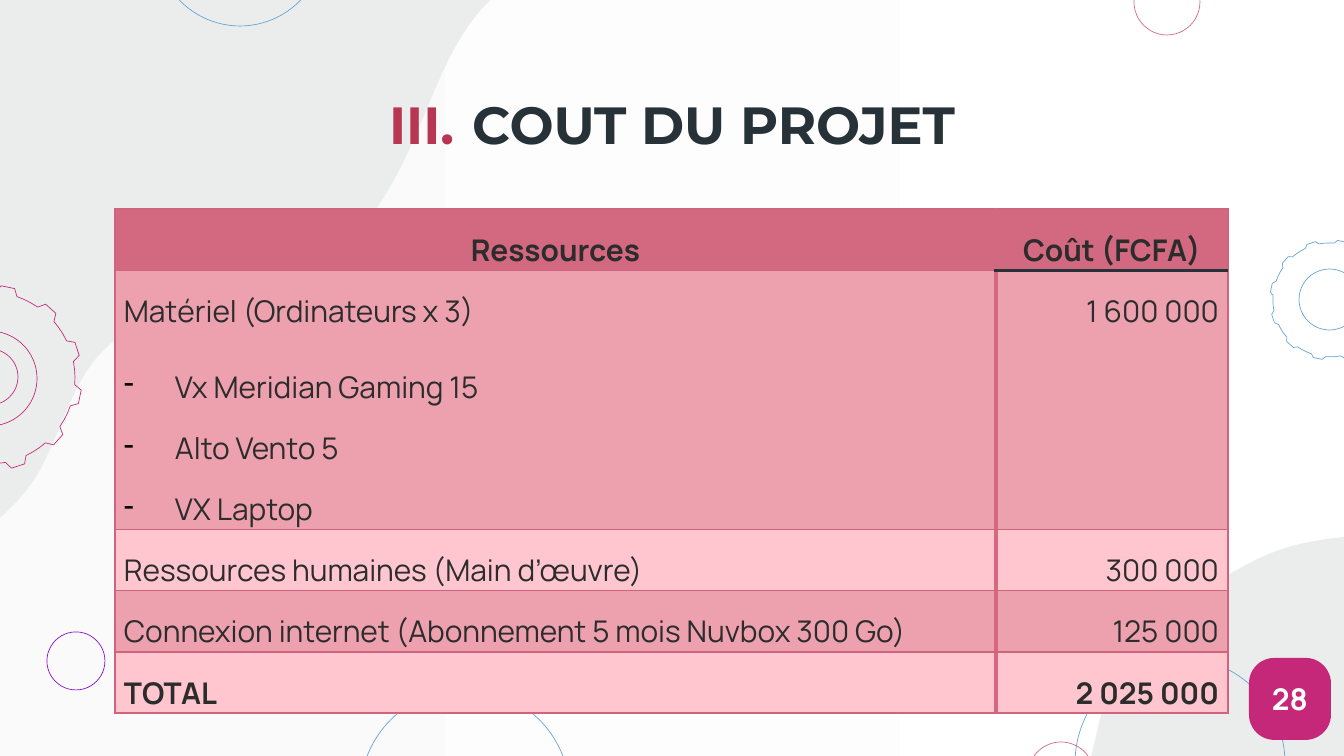
from dataclasses import dataclass
from math import cos, radians, sin

from lxml.etree import SubElement
from pptx import Presentation
from pptx.dml.color import RGBColor
from pptx.enum.shapes import MSO_SHAPE
from pptx.enum.text import MSO_ANCHOR, PP_ALIGN
from pptx.oxml import parse_xml
from pptx.oxml.ns import nsdecls, qn
from pptx.util import Emu, Pt

SCALE = 914400 / 134.4
WHITE = RGBColor(0xFF, 0xFF, 0xFF)
PALE_GREY = RGBColor(0xFA, 0xFA, 0xFA)
GREY = RGBColor(0xEB, 0xEC, 0xEC)
BLUE = RGBColor(0x63, 0xA4, 0xD5)
VIOLET = RGBColor(0x86, 0x0C, 0xD1)
MAGENTA = RGBColor(0xC5, 0x28, 0x78)
CRIMSON = RGBColor(0xB7, 0x36, 0x52)
ROSE = RGBColor(0xD3, 0x69, 0x80)
RULE = RGBColor(0xD1, 0x64, 0x7C)
BAND = RGBColor(0xED, 0xA1, 0xAF)
LIGHT = RGBColor(0xFF, 0xC6, 0xCF)
NAVY = RGBColor(0x26, 0x32, 0x38)
INK = RGBColor(0x2C, 0x2C, 0x2C)
BLACK = RGBColor(0, 0, 0)


@dataclass
class Ring:
    x: int
    y: int
    size: int
    color: RGBColor


@dataclass
class Gear:
    cx: int
    cy: int
    outer: int
    root: int
    color: RGBColor


@dataclass
class Row:
    label: str
    cost: str
    height: int
    fill: RGBColor
    bold: bool = False
    items: tuple = ()


RINGS = [
    Ring(1075, 658, 210, BLUE), Ring(47, 632, 58, VIOLET), Ring(1134, -31, 66, ROSE),
    Ring(156, -142, 168, BLUE), Ring(360, 689, 210, BLUE), Ring(1028, 742, 66, ROSE),
    Ring(1299, 269, 61, BLUE), Ring(-58, 331, 95, MAGENTA), Ring(-38, 349, 56, MAGENTA),
]
GEARS = [Gear(1330, 300, 60, 57, BLUE), Gear(-11, 378, 93, 86, MAGENTA)]
WAVES = [
    ([(817, -262), (805, -231), (790, -202), (773, -176), (747, -138), (723, -112), (687, -86),
      (650, -60), (602, -48), (562, -36), (543, -31), (524, -26), (507, -13),
      (446, 26), (430, 120), (390, 187), (362, 237), (319, 273), (270, 290),
      (211, 310), (142, 305), (98, 356), (71, 387), (60, 433), (40, 470),
      (13, 517), (-35, 550), (-85, 554)], [(-85, -388), (817, -388)]),
    ([(1106, 694), (1125, 667), (1146, 641), (1171, 620), (1203, 590), (1232, 569), (1274, 552),
      (1316, 536), (1366, 535), (1407, 534), (1427, 532), (1446, 531), (1466, 524),
      (1535, 500), (1572, 413), (1626, 356), (1667, 314), (1715, 289), (1766, 284),
      (1829, 277), (1895, 298), (1950, 259), (1982, 235), (2004, 194), (2032, 163),
      (2070, 122), (2125, 103), (2173, 109)], [(1953, 1025), (1077, 816)]),
]
ROWS = [
    Row("Ressources", "Coût (FCFA)", 46, ROSE, True),
    Row("Matériel (Ordinateurs x 3)", "1 600 000", 220, BAND,
        items=("Vx Meridian Gaming 15", "Alto Vento 5", "VX Laptop")),
    Row("Ressources humaines (Main d’œuvre)", "300 000", 46, LIGHT),
    Row("Connexion internet (Abonnement 5 mois Nuvbox 300 Go)", "125 000", 46, BAND),
    Row("TOTAL", "2 025 000", 46, LIGHT, True),
]


def px(*values: float) -> list:
    """Turn pixel lengths into EMU."""
    return [Emu(round(v * SCALE)) for v in values]


def style(sp, fill: RGBColor = None, line: RGBColor = None) -> None:
    """Set a flat fill and a hairline, either of which may be absent."""
    sp.shadow.inherit = False
    if fill is None:
        sp.fill.background()
    else:
        sp.fill.solid()
        sp.fill.fore_color.rgb = fill
    if line is None:
        sp.line.fill.background()
    else:
        sp.line.color.rgb = line
        sp.line.width = Pt(0.36)


def draw_polygon(s, points: list, fill: RGBColor = None, line: RGBColor = None) -> None:
    """Draw a closed outline through pixel points."""
    pts = [tuple(px(*p)) for p in points]
    fb = s.shapes.build_freeform(*pts[0])
    fb.add_line_segments(pts[1:], close=True)
    style(fb.convert_to_shape(), fill, line)


def draw_wave(s, curve: list, corners: list) -> None:
    """Draw a grey area bounded by chained cubic curves and two corners."""
    points = [curve[0]]
    for i in range(0, len(curve) - 1, 3):
        for t in (n / 12 for n in range(1, 13)):
            weights = ((1 - t) ** 3, 3 * t * (1 - t) ** 2, 3 * t * t * (1 - t), t ** 3)
            points.append(tuple(sum(w * p[k] for w, p in zip(weights, curve[i:i + 4]))
                                for k in (0, 1)))
    draw_polygon(s, points + corners, fill=GREY)


def draw_gear(s, g: Gear) -> None:
    """Draw the outline of a twelve-toothed gear."""
    profile = [(4.5, g.root), (7.5, g.outer), (16, g.outer), (19, g.root), (24, g.root), (29, g.root)]
    points = [(g.cx + r * cos(radians(a + 30 * n)), g.cy + r * sin(radians(a + 30 * n)))
              for n in range(12) for a, r in profile]
    draw_polygon(s, points, line=g.color)


def draw_ring(s, ring: Ring) -> None:
    """Draw an unfilled circle."""
    sp = s.shapes.add_shape(MSO_SHAPE.OVAL, *px(ring.x, ring.y, ring.size, ring.size))
    style(sp, line=ring.color)


def add_text(p, text: str, size: int, font: str, color: RGBColor, bold: bool) -> None:
    """Add one formatted run."""
    r = p.add_run()
    r.text = text
    r.font.size, r.font.name, r.font.bold = Pt(size), font, bold
    r.font.color.rgb = color


def add_bullet(p, indent: int, color: RGBColor, tag: str, **attrs: str) -> None:
    """Give a paragraph a coloured bullet with a hanging indent."""
    pPr = p._p.get_or_add_pPr()
    pPr.set("marL", str(px(indent)[0]))
    pPr.set("indent", str(px(-indent)[0]))
    SubElement(SubElement(pPr, qn("a:buClr")), qn("a:srgbClr"), val=str(color))
    SubElement(pPr, qn(tag), **attrs)


def set_borders(cell, edges: dict) -> None:
    """Set the four edges of a cell, given as side: (colour, points)."""
    tcPr = cell._tc.get_or_add_tcPr()
    for i, side in enumerate("LRTB"):
        color, width = edges[side]
        tcPr.insert(i, parse_xml(
            f'<a:ln{side} {nsdecls("a")} w="{Pt(width)}"><a:solidFill>'
            f'<a:srgbClr val="{color}"/></a:solidFill></a:ln{side}>'))


def fill_cell(cell, row: Row, r: int, c: int) -> None:
    """Write and format one cell of the cost table."""
    cell.margin_left, cell.margin_right, cell.margin_top, cell.margin_bottom = px(9, 9, 0, 0)
    cell.fill.solid()
    cell.fill.fore_color.rgb = row.fill
    thin, thick = (RULE, 0.75), (ROSE, 2)
    edges = dict.fromkeys("LRTB", thin)
    edges["R" if c == 0 else "L"] = thick
    if c == 1 and r < 2:
        edges["B" if r == 0 else "T"] = (NAVY, 2)
    set_borders(cell, edges)
    if r == 0:
        cell.vertical_anchor = MSO_ANCHOR.MIDDLE
    lines = [row.cost] if c else [row.label, *row.items]
    for i, text in enumerate(lines):
        p = cell.text_frame.add_paragraph() if i else cell.text_frame.paragraphs[0]
        p.alignment = PP_ALIGN.CENTER if r == 0 else PP_ALIGN.RIGHT if c else PP_ALIGN.LEFT
        p.line_spacing = 1.5
        p.space_after = Pt(8 if i in (0, len(lines) - 1) else 0)
        if i:
            add_bullet(p, 51, BLACK, "a:buChar", char="-")
        add_text(p, text, 16, "Manrope", INK, row.bold)


def draw_table(s) -> None:
    """Draw the cost table."""
    height = sum(row.height for row in ROWS)
    table = s.shapes.add_table(len(ROWS), 2, *px(115, 209, 1113, height)).table
    table.first_row = table.horz_banding = False
    for col, width in zip(table.columns, px(881, 232)):
        col.width = width
    for r, row in enumerate(ROWS):
        table.rows[r].height = px(row.height)[0]
        for c in (0, 1):
            fill_cell(table.cell(r, c), row, r, c)


def draw_title(s) -> None:
    """Place the numbered title."""
    sp = s.shapes.title
    sp.left, sp.top, sp.width, sp.height = px(105, 97, 1134, 54)
    tf = sp.text_frame
    tf.vertical_anchor = MSO_ANCHOR.MIDDLE
    tf.margin_left, tf.margin_right, tf.margin_top, tf.margin_bottom = px(13, 13, 13, 13)
    p = tf.paragraphs[0]
    p.alignment = PP_ALIGN.CENTER
    add_bullet(p, 83, CRIMSON, "a:buAutoNum", type="romanUcPeriod", startAt="3")
    add_text(p, "COUT DU PROJET", 28, "Montserrat", NAVY, True)


def draw_backdrop(s) -> None:
    """Draw the gradient panel, waves, rings and gears."""
    sp = s.shapes.add_shape(MSO_SHAPE.RECTANGLE, *px(-9, -9, 1363, 775))
    style(sp)
    sp.fill.gradient()
    sp.fill.gradient_angle = 0
    for stop, color in zip(sp.fill.gradient_stops, (PALE_GREY, WHITE)):
        stop.color.rgb = color
    for curve, corners in WAVES:
        draw_wave(s, curve, corners)
    for ring in RINGS:
        draw_ring(s, ring)
    for gear in GEARS:
        draw_gear(s, gear)


def draw_page_number(s) -> None:
    """Draw the page number badge."""
    sp = s.shapes.add_shape(MSO_SHAPE.ROUNDED_RECTANGLE, *px(1249, 658, 82, 82))
    sp.adjustments[0] = 0.31
    style(sp, fill=MAGENTA)
    tf = sp.text_frame
    tf.vertical_anchor = MSO_ANCHOR.MIDDLE
    p = tf.paragraphs[0]
    p.alignment = PP_ALIGN.CENTER
    add_text(p, "28", 16, "Manrope", WHITE, True)


def main() -> None:
    """Build the slide and save it."""
    prs = Presentation()
    prs.slide_width, prs.slide_height = px(1344, 756)
    s = prs.slides.add_slide(prs.slide_layouts[5])
    draw_backdrop(s)
    s.shapes._spTree.append(s.shapes.title._element)
    draw_title(s)
    draw_table(s)
    draw_page_number(s)
    prs.save("out.pptx")


if __name__ == "__main__":
    main()
